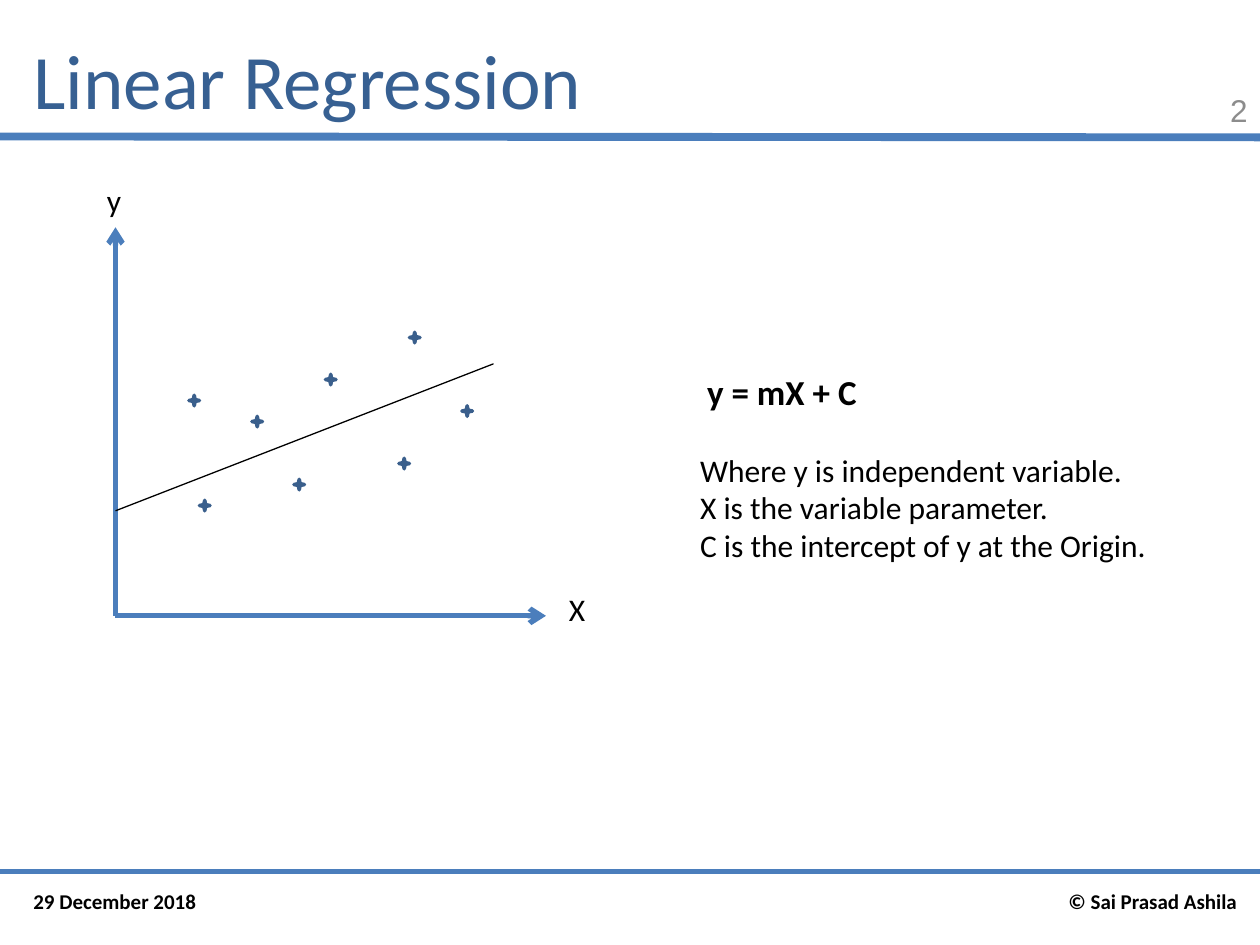
import dataclasses
import typing

import pptx
import pptx.dml.color
import pptx.enum.shapes
import pptx.enum.text
import pptx.oxml
import pptx.oxml.ns
import pptx.util

COLORS = {
    "rule": "4B7EBC",
    "title": "376092",
    "star": "4F81BD",
    "star_edge": "3A5F8C",
    "black": "000000",
    "number": "8C8C8C",
}
UNITS_PER_INCH = 12
PLOT_SHIFT = 0.65
ALIGN = pptx.enum.text.PP_ALIGN
ANCHOR = pptx.enum.text.MSO_ANCHOR


class Point(typing.NamedTuple):
    column: float
    row: float


@dataclasses.dataclass
class Line:
    start: Point
    end: Point
    width: float
    color: str = "rule"
    arrow: bool = False


@dataclasses.dataclass
class Label:
    text: str
    column: float
    row: float
    columns: float
    rows: float
    size: float
    color: str = "black"
    font: str = "Calibri"
    bold: bool = False
    align: ALIGN = ALIGN.LEFT
    anchor: ANCHOR = ANCHOR.MIDDLE


def grid(units: float) -> pptx.util.Emu:
    return pptx.util.Inches(units / UNITS_PER_INCH)


def color(name: str) -> pptx.dml.color.RGBColor:
    return pptx.dml.color.RGBColor.from_string(COLORS[name])


def plot(column: float, row: float) -> Point:
    return Point(column, row + PLOT_SHIFT)


def draw_line(page, line: Line) -> None:
    connector = page.shapes.add_connector(
        pptx.enum.shapes.MSO_CONNECTOR.STRAIGHT,
        *(grid(units) for units in (*line.start, *line.end)),
    )
    connector.line.width = pptx.util.Pt(line.width)
    connector.line.color.rgb = color(line.color)
    properties = connector._element.spPr
    if line.arrow:
        tail = pptx.oxml.parse_xml(
            f'<a:tailEnd {pptx.oxml.ns.nsdecls("a")} type="arrow"/>'
        )
        connector.line._get_or_add_ln().append(tail)
    properties.append(
        pptx.oxml.parse_xml(f'<a:effectLst {pptx.oxml.ns.nsdecls("a")}/>')
    )


def draw_star(page, place: Point) -> None:
    star = page.shapes.add_shape(
        pptx.enum.shapes.MSO_SHAPE.STAR_4_POINT,
        grid(place.column), grid(place.row), grid(1), grid(1),
    )
    star.shadow.inherit = False
    star.fill.solid()
    star.fill.fore_color.rgb = color("star")
    star.line.color.rgb = color("star_edge")
    star.line.width = pptx.util.Pt(2)


def draw_label(page, label: Label):
    box = page.shapes.add_textbox(
        *(grid(units) for units in (label.column, label.row, label.columns, label.rows))
    )
    frame = box.text_frame
    frame.word_wrap = True
    frame.vertical_anchor = label.anchor
    frame.text = label.text
    for para in frame.paragraphs:
        para.alignment = label.align
        for span in para.runs:
            span.font.name = label.font
            span.font.size = pptx.util.Pt(label.size)
            span.font.bold = label.bold
            span.font.color.rgb = color(label.color)
    return box


def draw_equation(page) -> None:
    label = Label(
        "y = mX + C\n"
        "Where y is independent variable.\n"
        "X is the variable parameter.\n"
        "C is the intercept of y at the Origin.",
        65.5, 34.65, 48, 19.8, 18, anchor=ANCHOR.TOP,
    )
    equation, meaning, *_ = draw_label(page, label).text_frame.paragraphs
    equation._p.get_or_add_pPr().set("marL", str(pptx.util.Pt(4)))
    equation.runs[0].font.size = pptx.util.Pt(20)
    equation.runs[0].font.bold = True
    meaning.space_before = pptx.util.Pt(22)


ORIGIN = plot(11, 58)
LINES = [
    Line(Point(0, 13), Point(120, 13.08), 4.5),
    Line(Point(0, 83), Point(120, 83), 3),
    Line(ORIGIN, plot(11, 21), 3, arrow=True),
    Line(ORIGIN, plot(52, 58), 3, arrow=True),
    Line(plot(11, 48), plot(47, 34), 0.75, "black"),
]
STARS = [
    plot(18, 37), plot(19, 47), plot(24, 39), plot(31, 35),
    plot(28, 45), plot(39, 31), plot(38, 43), plot(44, 38),
]
LABELS = [
    Label("Linear Regression", 2, 2, 98, 11, 44, "title"),
    Label("y", 9, 16.65, 3, 4.8, 18, anchor=ANCHOR.TOP),
    Label("X", 53, 55.65, 3, 4.8, 18, anchor=ANCHOR.TOP),
    Label("29 December 2018", 2, 83.4, 18, 4.8, 12, bold=True),
    Label("© Sai Prasad Ashila", 97, 83.4, 22, 4.8, 12, bold=True, align=ALIGN.RIGHT),
    Label("2", 107, 8, 13, 5, 18, "number", "Arial", align=ALIGN.RIGHT),
]


def main() -> None:
    deck = pptx.Presentation()
    deck.slide_width = grid(120)
    deck.slide_height = grid(90)
    page = deck.slides.add_slide(deck.slide_layouts[6])
    for line in LINES:
        draw_line(page, line)
    for place in STARS:
        draw_star(page, place)
    for label in LABELS:
        draw_label(page, label)
    draw_equation(page)
    deck.save("out.pptx")


main()
